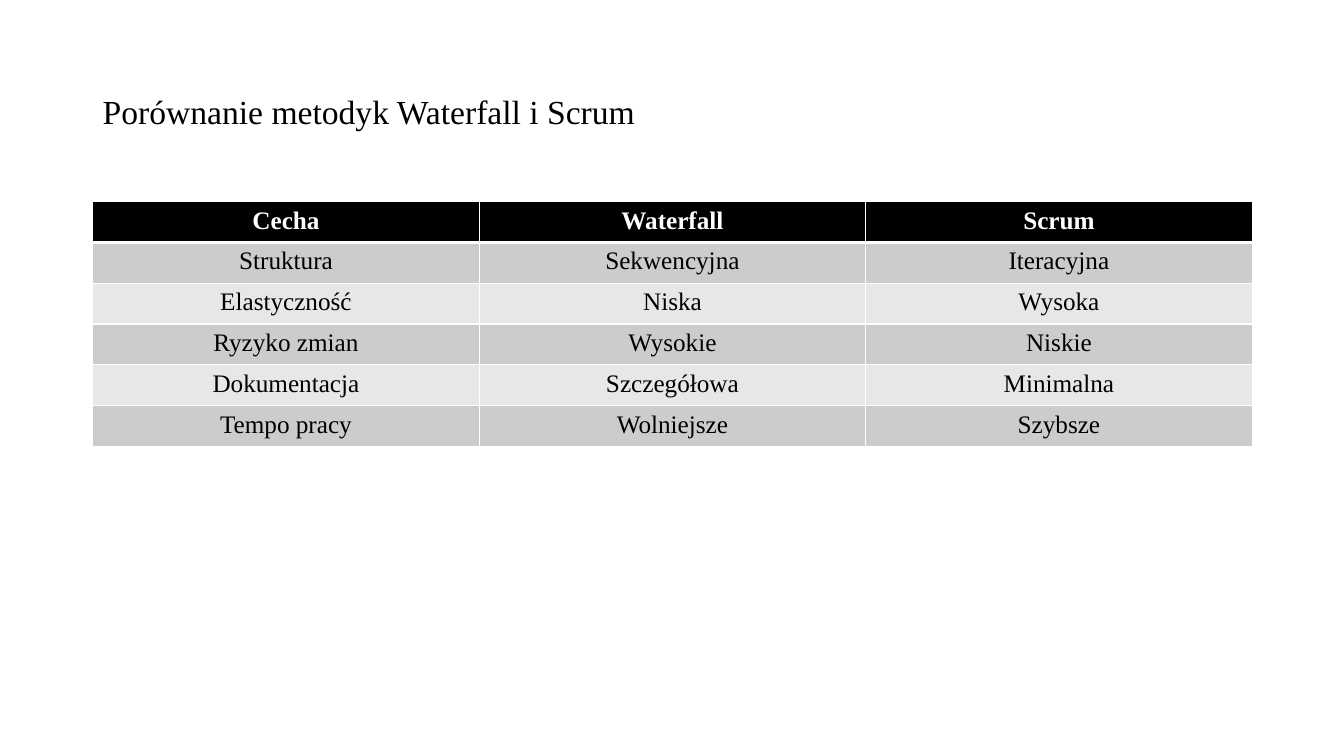
from dataclasses import dataclass

from lxml import etree
from pptx import Presentation, util as u
from pptx.dml.color import RGBColor
from pptx.enum import text
from pptx.oxml.ns import qn


@dataclass(frozen=True)
class Theme:
    font: str = "Times New Roman"
    title_size: int = 24
    cell_size: int = 18
    ink: str = "000000"
    paper: str = "FFFFFF"
    bands: tuple = ("CCCCCC", "E7E7E7")
    rule: int = 1
    header_rule: int = 3


THEME = Theme()
WIDTH, HEIGHT = u.Inches(13.33), u.Inches(7.5)
MARGIN = u.Inches(0.92)
CONTENT_WIDTH = u.Inches(11.5)
ROW_HEIGHT = u.Inches(0.405)

TITLE = "Porównanie metodyk Waterfall i Scrum"
COMPARISON = [
    ("Cecha", "Waterfall", "Scrum"),
    ("Struktura", "Sekwencyjna", "Iteracyjna"),
    ("Elastyczność", "Niska", "Wysoka"),
    ("Ryzyko zmian", "Wysokie", "Niskie"),
    ("Dokumentacja", "Szczegółowa", "Minimalna"),
    ("Tempo pracy", "Wolniejsze", "Szybsze"),
]


def add_run(paragraph, words, size, color, bold=False):
    run = paragraph.add_run()
    run.text = words
    run.font.name = THEME.font
    run.font.size = u.Pt(size)
    run.font.bold = bold
    run.font.color.rgb = RGBColor.from_string(color)


def add_title(slide, words):
    title = slide.shapes.add_textbox(MARGIN, u.Inches(0.4), CONTENT_WIDTH, u.Inches(1.45))
    frame = title.text_frame
    frame.word_wrap = True
    frame.vertical_anchor = text.MSO_ANCHOR.MIDDLE
    frame.paragraphs[0].line_spacing = 0.9
    add_run(frame.paragraphs[0], words, THEME.title_size, THEME.ink)


def set_borders(cell, top, bottom):
    """Draw the four cell borders; top and bottom are widths in points."""
    properties = cell._tc.get_or_add_tcPr()
    widths = {"a:lnL": THEME.rule, "a:lnR": THEME.rule, "a:lnT": top, "a:lnB": bottom}
    for side, width in widths.items():
        line = etree.SubElement(properties, qn(side), w=str(u.Pt(width)))
        fill = etree.SubElement(line, qn("a:solidFill"))
        etree.SubElement(fill, qn("a:srgbClr"), val=THEME.paper)


def fill_cell(cell, words, row):
    header = row == 0
    set_borders(
        cell,
        top=THEME.header_rule if row == 1 else THEME.rule,
        bottom=THEME.header_rule if header else THEME.rule,
    )
    background = THEME.ink if header else THEME.bands[(row - 1) % 2]
    cell.fill.solid()
    cell.fill.fore_color.rgb = RGBColor.from_string(background)
    paragraph = cell.text_frame.paragraphs[0]
    paragraph.alignment = text.PP_ALIGN.CENTER
    add_run(paragraph, words, THEME.cell_size, THEME.paper if header else THEME.ink, header)


def add_comparison(slide, rows):
    table = slide.shapes.add_table(
        len(rows), len(rows[0]), MARGIN, u.Inches(2), CONTENT_WIDTH, ROW_HEIGHT * len(rows)
    ).table
    for row, entries in enumerate(rows):
        for column, words in enumerate(entries):
            fill_cell(table.cell(row, column), words, row)


def main():
    deck = Presentation()
    deck.slide_width, deck.slide_height = WIDTH, HEIGHT
    slide = deck.slides.add_slide(deck.slide_layouts[6])
    add_title(slide, TITLE)
    add_comparison(slide, COMPARISON)
    deck.save("out.pptx")


if __name__ == "__main__":
    main()
